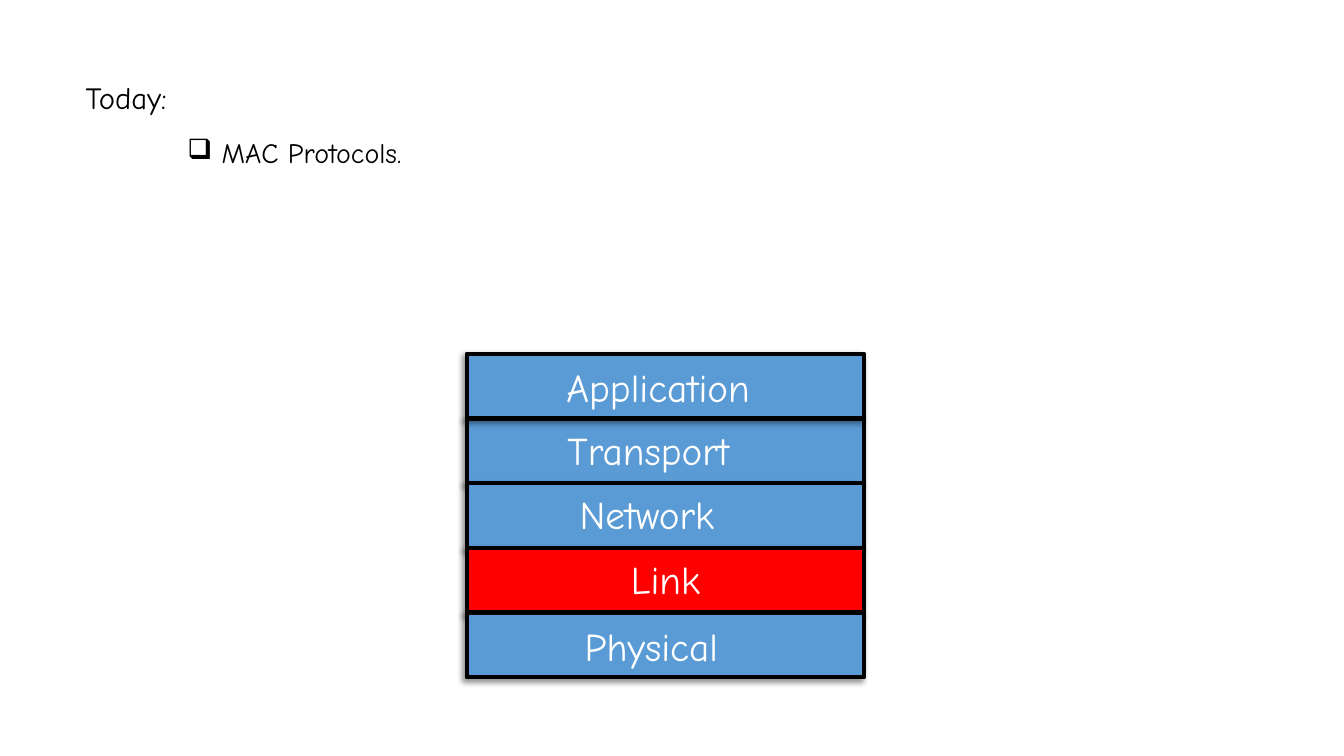
from lxml import etree
from pptx import Presentation
from pptx.dml.color import RGBColor
from pptx.enum.shapes import MSO_SHAPE
from pptx.enum.text import MSO_ANCHOR, MSO_AUTO_SIZE, PP_ALIGN
from pptx.oxml.ns import qn
from pptx.util import Inches, Pt

RECTANGLE = MSO_SHAPE.RECTANGLE
TOP = MSO_ANCHOR.TOP
NO_AUTOFIT, GROW = MSO_AUTO_SIZE.NONE, MSO_AUTO_SIZE.SHAPE_TO_FIT_TEXT
LEFT, CENTER = PP_ALIGN.LEFT, PP_ALIGN.CENTER

BLACK = RGBColor(0x00, 0x00, 0x00)
WHITE = RGBColor(0xFF, 0xFF, 0xFF)
BLUE = RGBColor(0x5B, 0x9B, 0xD5)
RED = RGBColor(0xFF, 0x00, 0x00)
FONT = "Comic Neue"

STACK_LEFT, STACK_TOP = 4.63, 3.51
LAYER_WIDTH, LAYER_HEIGHT, LAYER_STEP = 3.94, 0.64, 0.6425
LABEL_WIDTH, LABEL_HEIGHT = 2.42, 0.57

# Layer name, fill, label left, label top, label alignment
LAYERS = [
    ("Application", BLUE, 5.52, 3.56, LEFT),
    ("Transport", BLUE, 5.53, 4.18, LEFT),
    ("Network", BLUE, 5.65, 4.82, LEFT),
    ("Link", RED, 5.39, 5.46, CENTER),
    ("Physical", BLUE, 5.7, 6.12, LEFT),
]
# The top layer lies over the second, so its shadow falls on it
DRAWING_ORDER = [1, 0, 2, 3, 4]


def set_attributes(target, values):
    for name, value in values.items():
        setattr(target, name, value)


def write_text(shape, text, size, color, auto_size, paragraph_format):
    frame = shape.text_frame
    set_attributes(frame, {"word_wrap": True, "auto_size": auto_size,
                           "vertical_anchor": TOP})
    paragraph = frame.paragraphs[0]
    set_attributes(paragraph, paragraph_format)
    run = paragraph.add_run()
    run.text = text
    set_attributes(run.font, {"name": FONT, "size": Pt(size)})
    run.font.color.rgb = color
    return paragraph


def set_bullet(paragraph, character=None, indent=0):
    properties = paragraph._p.get_or_add_pPr()
    properties.set("marL", str(Inches(indent)))
    properties.set("indent", str(-Inches(indent)))
    if character:
        etree.SubElement(properties, qn("a:buChar"), char=character)
    else:
        etree.SubElement(properties, qn("a:buNone"))


def add_text(slide, left, top, width, height, *text_values):
    box = slide.shapes.add_textbox(
        Inches(left), Inches(top), Inches(width), Inches(height))
    return write_text(box, *text_values)


def add_shadow(shape):
    effects = etree.SubElement(shape._element.spPr, qn("a:effectLst"))
    shadow = etree.SubElement(
        effects, qn("a:outerShdw"), blurRad=str(Pt(4)), dist=str(Pt(3)),
        dir=str(135 * 60000), algn="tr", rotWithShape="0")
    color = etree.SubElement(shadow, qn("a:srgbClr"), val=str(BLACK))
    etree.SubElement(color, qn("a:alpha"), val="40000")


def add_layer(slide, index, fill):
    layer = slide.shapes.add_shape(
        RECTANGLE, Inches(STACK_LEFT), Inches(STACK_TOP + index * LAYER_STEP),
        Inches(LAYER_WIDTH), Inches(LAYER_HEIGHT))
    layer.fill.solid()
    layer.fill.fore_color.rgb = fill
    layer.line.color.rgb = BLACK
    layer.line.width = Pt(3)
    add_shadow(layer)


def main():
    presentation = Presentation()
    set_attributes(presentation, {"slide_width": Inches(13.33),
                                  "slide_height": Inches(7.5)})
    slide = presentation.slides.add_slide(presentation.slide_layouts[1])
    title = slide.shapes.title
    title._element.getparent().remove(title._element)

    # Agenda
    agenda_format = {"line_spacing": 0.9, "space_before": Pt(10)}
    heading = slide.placeholders[1]
    set_attributes(heading, {"left": Inches(0.75), "top": Inches(0.77),
                             "width": Inches(11.5), "height": Inches(0.51)})
    set_bullet(write_text(heading, "Today:", 22, BLACK, NO_AUTOFIT,
                          agenda_format))
    topic = add_text(slide, 1.76, 1.33, 11.12, 2.14, "MAC Protocols.", 20,
                     BLACK, NO_AUTOFIT, agenda_format)
    set_bullet(topic, "❑", 0.34)

    # Protocol stack
    for index in DRAWING_ORDER:
        add_layer(slide, index, LAYERS[index][1])

    # Layer names
    for name, _, left, top, alignment in LAYERS:
        add_text(slide, left, top, LABEL_WIDTH, LABEL_HEIGHT, name, 28, WHITE,
                 GROW, {"alignment": alignment})

    presentation.save("out.pptx")


if __name__ == "__main__":
    main()
